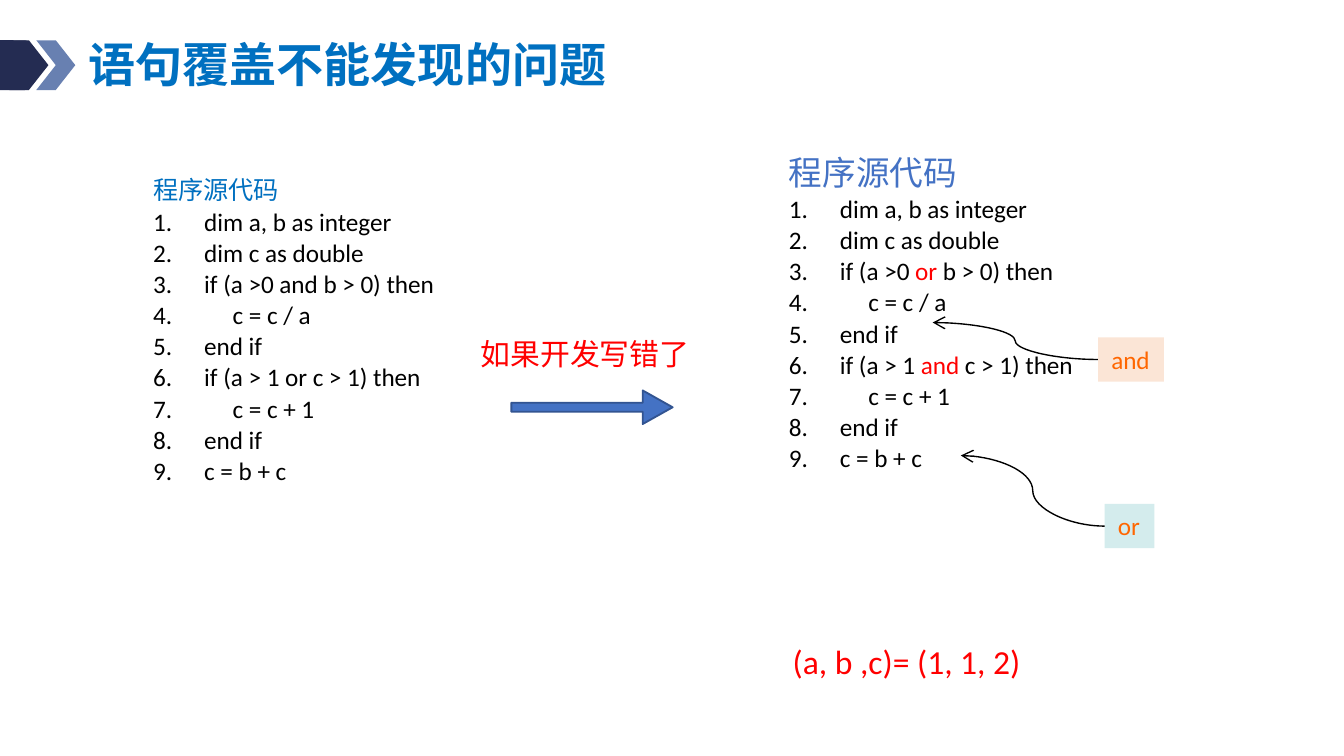
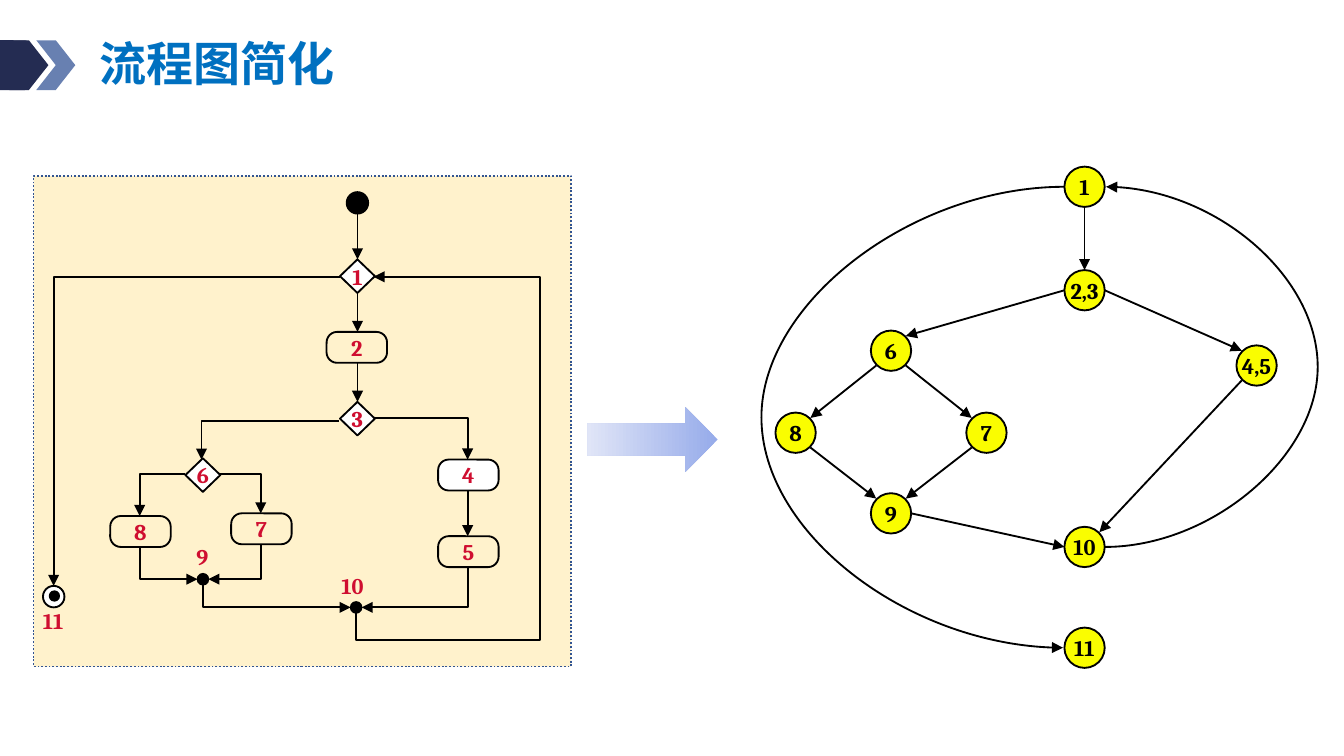
import math
from typing import NamedTuple, Optional

import pptx
import pptx.dml.color
import pptx.enum.dml
import pptx.enum.shapes
import pptx.enum.text
import pptx.oxml
import pptx.oxml.ns
import pptx.util
from pptx.util import Inches

RGBColor = pptx.dml.color.RGBColor
SHAPE = pptx.enum.shapes.MSO_SHAPE
CONNECTOR = pptx.enum.shapes.MSO_CONNECTOR
ALIGN = pptx.enum.text.PP_ALIGN
ANCHOR = pptx.enum.text.MSO_ANCHOR

NAVY = RGBColor(0x24, 0x2C, 0x52)
SLATE = RGBColor(0x68, 0x80, 0xB1)
TITLE_BLUE = RGBColor(0x00, 0x70, 0xC0)
ACCENT_BLUE = RGBColor(0x44, 0x72, 0xC4)
OUTLINE_BLUE = RGBColor(0x32, 0x54, 0x91)
BLACK = RGBColor(0x00, 0x00, 0x00)
WHITE = RGBColor(0xFF, 0xFF, 0xFF)
RED = RGBColor(0xFF, 0x00, 0x00)
CRIMSON = RGBColor(0xCF, 0x0E, 0x30)
ORANGE = RGBColor(0xFF, 0x66, 0x00)
PEACH = RGBColor(0xFB, 0xE5, 0xD6)
PALE_TEAL = RGBColor(0xD4, 0xEC, 0xED)
YELLOW = RGBColor(0xFA, 0xFD, 0x00)
CREAM = RGBColor(0xFF, 0xF2, 0xCC)
ARROW_DARK = RGBColor(0x96, 0xAB, 0xEA)
ARROW_LIGHT = RGBColor(0xE0, 0xE5, 0xF7)

CJK, LATIN, SERIF = "Noto Sans CJK SC", "Calibri", "Cambria"
WIDE, NARROW, FLUSH = (0.1, 0.05), (0.07, 0.04), (0, 0)
EAST, SOUTH_EAST, SOUTH, SOUTH_WEST, WEST = 0, 45, 90, 135, 180
NORTH_WEST, NORTH, NORTH_EAST = 225, 270, 315
RADIUS = 0.15


class Box(NamedTuple):
    left: float
    top: float
    width: float
    height: float

    def lengths(self) -> list:
        return [Inches(value) for value in self]


class Style(NamedTuple):
    size: float
    font: str
    color: RGBColor
    bold: bool = False


class Step(NamedTuple):
    label: str
    geometry: SHAPE
    left: float
    top: float
    fill: Optional[RGBColor] = None


class Link(NamedTuple):
    start: tuple
    end: tuple
    reverse: bool = False


class Edge(NamedTuple):
    source: str
    leave: int
    target: str
    enter: int
    bulge: float = 0


TITLE = Style(25.2, CJK, TITLE_BLUE, True)
CODE = Style(13.5, LATIN, BLACK)
WRONG = CODE._replace(color=RED)
CALLOUT = CODE._replace(color=ORANGE)
STEP_LABEL = Style(12, SERIF, CRIMSON, True)
NODE_LABEL = STEP_LABEL._replace(color=BLACK)

STEP_SIZES = {SHAPE.DIAMOND: (0.26, 0.25), SHAPE.ROUNDED_RECTANGLE: (0.45, 0.23)}
STEPS = [
    Step("1", SHAPE.DIAMOND, 2.53, 1.93, WHITE),
    Step("3", SHAPE.DIAMOND, 2.53, 2.99, WHITE),
    Step("6", SHAPE.DIAMOND, 1.38, 3.41, WHITE),
    Step("2", SHAPE.ROUNDED_RECTANGLE, 2.43, 2.47),
    Step("4", SHAPE.ROUNDED_RECTANGLE, 3.26, 3.42, WHITE),
    Step("5", SHAPE.ROUNDED_RECTANGLE, 3.26, 3.99),
    Step("7", SHAPE.ROUNDED_RECTANGLE, 1.72, 3.82),
    Step("8", SHAPE.ROUNDED_RECTANGLE, 0.82, 3.84),
]
DOTS = [
    (Box(2.58, 1.43, 0.16, 0.16), BLACK),
    (Box(1.47, 4.27, 0.08, 0.08), BLACK),
    (Box(2.61, 4.48, 0.08, 0.08), BLACK),
    (Box(0.32, 4.36, 0.16, 0.16), WHITE),
    (Box(0.37, 4.4, 0.07, 0.07), BLACK),
]
DOT_LABELS = {
    "9": Box(1.39, 4, 0.25, 0.3),
    "10": Box(2.47, 4.22, 0.34, 0.3),
    "11": Box(0.25, 4.48, 0.33, 0.3),
}
LINKS = [
    Link((2.66, 1.59), (2.66, 1.93)),
    Link((2.66, 2.18), (2.66, 2.47)),
    Link((2.66, 2.7), (2.66, 2.99)),
    Link((3.48, 3.65), (3.48, 3.99)),
    Link((2.53, 2.06), (0.4, 4.36)),
    Link((2.52, 3.13), (1.5, 3.42)),
    Link((2.78, 3.11), (3.48, 3.42)),
    Link((1.63, 3.53), (1.94, 3.82)),
    Link((1.38, 3.53), (1.04, 3.84)),
    Link((1.47, 4.31), (1.04, 4.07), True),
    Link((1.55, 4.31), (1.94, 4.05), True),
    Link((2.61, 4.52), (1.51, 4.35), True),
    Link((2.69, 4.52), (3.48, 4.22), True),
]
NODES = {
    "1": (8.07, 1.39),
    "2,3": (8.07, 2.16),
    "4,5": (9.35, 2.72),
    "6": (6.63, 2.61),
    "7": (7.34, 3.22),
    "8": (5.92, 3.22),
    "9": (6.63, 3.82),
    "10": (8.07, 4.07),
    "11": (8.07, 4.82),
}
EDGES = [
    Edge("1", SOUTH, "2,3", NORTH),
    Edge("2,3", EAST, "4,5", NORTH_WEST),
    Edge("2,3", WEST, "6", NORTH_EAST),
    Edge("6", SOUTH_EAST, "7", NORTH_WEST),
    Edge("6", SOUTH_WEST, "8", NORTH_EAST),
    Edge("8", SOUTH_EAST, "9", NORTH_WEST),
    Edge("7", SOUTH_WEST, "9", NORTH_EAST),
    Edge("9", EAST, "10", WEST),
    Edge("4,5", SOUTH_WEST, "10", NORTH_EAST),
    Edge("10", EAST, "1", EAST, 1.61),
    Edge("1", WEST, "11", WEST, -2.29),
]


def add_run(paragraph, text: str, style: Style) -> None:
    run = paragraph.add_run()
    run.text = text
    run.font.size = pptx.util.Pt(style.size)
    run.font.bold = style.bold
    run.font.color.rgb = style.color
    run.font.name = style.font
    east_asian = run.font._element.makeelement(pptx.oxml.ns.qn("a:ea"), {"typeface": style.font})
    run.font._element.find(pptx.oxml.ns.qn("a:latin")).addnext(east_asian)


def set_frame(frame, inset: tuple, anchor=ANCHOR.TOP, wrap: bool = False) -> None:
    frame.margin_left = frame.margin_right = Inches(inset[0])
    frame.margin_top = frame.margin_bottom = Inches(inset[1])
    frame.vertical_anchor = anchor
    frame.word_wrap = wrap
    frame.auto_size = pptx.enum.text.MSO_AUTO_SIZE.NONE


def add_label(slide, box: Box, text: str, style: Style, inset: tuple = WIDE) -> None:
    frame = slide.shapes.add_textbox(*box.lengths()).text_frame
    set_frame(frame, inset)
    add_run(frame.paragraphs[0], text, style)


def add_figure(slide, geometry, box: Box, fill=None, line=None, adjustments: tuple = ()):
    figure = slide.shapes.add_shape(geometry, *box.lengths())
    figure.shadow.inherit = False
    for index, value in enumerate(adjustments):
        figure.adjustments[index] = value
    if fill is None:
        figure.fill.background()
    else:
        figure.fill.solid()
        figure.fill.fore_color.rgb = fill
    if line is None:
        figure.line.fill.background()
    else:
        figure.line.color.rgb = line
        figure.line.width = pptx.util.Pt(1)
    return figure


def write_in(figure, text: str, style: Style, inset: tuple, anchor=ANCHOR.MIDDLE, align=ALIGN.CENTER) -> None:
    set_frame(figure.text_frame, inset, anchor)
    paragraph = figure.text_frame.paragraphs[0]
    paragraph.alignment = align
    add_run(paragraph, text, style)


def add_arrow(slide, start: tuple, end: tuple, preset: str = "line", adjustments: tuple = (),
              reverse: bool = False, head: str = "triangle", width: float = 1) -> None:
    arrow = slide.shapes.add_connector(CONNECTOR.STRAIGHT, *[Inches(value) for value in (*start, *end)])
    arrow.line.color.rgb = BLACK
    arrow.line.width = pptx.util.Pt(width)
    properties = arrow._element.spPr
    qn = pptx.oxml.ns.qn
    geometry = properties.find(qn("a:prstGeom"))
    geometry.set("prst", preset)
    guides = geometry.find(qn("a:avLst"))
    for index, value in enumerate(adjustments, 1):
        guides.append(guides.makeelement(
            qn("a:gd"), {"name": f"adj{index}", "fmla": f"val {round(value * 100000)}"}))
    outline = arrow.line._get_or_add_ln()
    tip = "a:headEnd" if reverse else "a:tailEnd"
    outline.append(outline.makeelement(qn(tip), {"type": head}))
    properties.append(properties.makeelement(qn("a:effectLst"), {}))


def add_titled_slide(deck, title: str, box: Box, inset: tuple):
    slide = deck.slides.add_slide(deck.slide_layouts[5])
    add_figure(slide, SHAPE.ROUNDED_RECTANGLE, Box(-0.13, 0.3, 0.35, 0.37), NAVY, adjustments=(0.1,))
    for left, color in ((0.27, SLATE), (0.07, NAVY)):
        add_figure(slide, SHAPE.CHEVRON, Box(left, 0.3, 0.29, 0.37), color)
    heading = slide.shapes.title
    heading.left, heading.top, heading.width, heading.height = box.lengths()
    set_frame(heading.text_frame, inset, ANCHOR.MIDDLE, True)
    paragraph = heading.text_frame.paragraphs[0]
    paragraph.alignment = ALIGN.LEFT
    paragraph.line_spacing = 0.9
    add_run(paragraph, title, TITLE)
    return slide


def add_listing(slide, box: Box, heading: Style, operators: tuple, operator_style: Style) -> None:
    first, second = operators
    listing = [
        ("1.\tdim a, b as integer",),
        ("dim c as double",),
        ("if (a >0 ", first, " b > 0) then"),
        ("     c = c / a",),
        ("end if",),
        ("if (a > 1 ", second, " c > 1) then"),
        ("     c = c + 1",),
        ("end if",),
        ("c = b + c",),
    ]
    frame = slide.shapes.add_textbox(*box.lengths()).text_frame
    set_frame(frame, NARROW, wrap=True)
    add_run(frame.paragraphs[0], "程序源代码", heading)
    for number, parts in enumerate(listing, 1):
        paragraph = frame.add_paragraph()
        properties = paragraph._p.get_or_add_pPr()
        properties.set("marL", str(Inches(0.38)))
        properties.set("indent", str(-Inches(0.38)))
        if number > 1:
            properties.append(properties.makeelement(
                pptx.oxml.ns.qn("a:buAutoNum"), {"type": "arabicPeriod", "startAt": "2"}))
        paragraph.space_before = pptx.util.Pt(0.5)
        for part in parts:
            add_run(paragraph, part, operator_style if part in operators else CODE)


def build_coverage_slide(deck) -> None:
    slide = add_titled_slide(deck, "语句覆盖不能发现的问题", Box(0.66, 0.28, 4.25, 0.44), FLUSH)
    add_listing(slide, Box(5.8, 1.09, 3.13, 2.49), Style(18, CJK, ACCENT_BLUE), ("or", "and"), WRONG)
    add_label(slide, Box(5.8, 4.72, 1.89, 0.4), "(a, b ,c)= (1, 1, 2)", Style(18, LATIN, RED))
    corrections = [
        ("and", Box(8.17, 2.51, 0.49, 0.33), PEACH, (6.94, 2.4)),
        ("or", Box(8.22, 3.75, 0.37, 0.33), PALE_TEAL, (7.15, 3.39)),
    ]
    for operator, box, fill, target in corrections:
        callout = add_figure(slide, SHAPE.RECTANGLE, box, fill)
        write_in(callout, operator, CALLOUT, WIDE, ANCHOR.TOP, ALIGN.LEFT)
        origin = (box.left, box.top + box.height / 2)
        add_arrow(slide, origin, target, "curvedConnector3", (0.5,), head="arrow", width=0.75)
    add_listing(slide, Box(1.07, 1.26, 2.57, 2.41), Style(13.5, CJK, TITLE_BLUE), ("and", "or"), CODE)
    becomes = add_figure(slide, SHAPE.DOWN_ARROW, Box(4.28, 2.43, 0.25, 1.2), ACCENT_BLUE, OUTLINE_BLUE, (0.27, 0.89))
    becomes.rotation = 270
    add_label(slide, Box(3.48, 2.45, 1.76, 0.37), "如果开发写错了", Style(16, CJK, RED))


def draw_flowchart(slide) -> None:
    panel = add_figure(slide, SHAPE.RECTANGLE, Box(0.25, 1.31, 4, 3.65), CREAM, OUTLINE_BLUE)
    panel.line.dash_style = pptx.enum.dml.MSO_LINE.ROUND_DOT
    add_arrow(slide, (2.78, 2.06), (2.65, 4.56), "bentConnector4", (-9.54, 1.08), reverse=True)
    for box, fill in DOTS:
        add_figure(slide, SHAPE.OVAL, box, fill, BLACK)
    for step in STEPS:
        diamond = step.geometry == SHAPE.DIAMOND
        box = Box(step.left, step.top, *STEP_SIZES[step.geometry])
        figure = add_figure(slide, step.geometry, box, step.fill, BLACK, () if diamond else (0.34,))
        write_in(figure, step.label, STEP_LABEL, NARROW if diamond else WIDE)
    for label, box in DOT_LABELS.items():
        add_label(slide, box, label, STEP_LABEL, NARROW)
    for link in LINKS:
        preset = "line" if link.start[0] == link.end[0] else "bentConnector2"
        add_arrow(slide, link.start, link.end, preset, reverse=link.reverse)


def rim_point(label: str, angle: int) -> tuple:
    x, y = NODES[label]
    turn = math.radians(angle)
    return round(x + RADIUS * math.cos(turn), 2), round(y + RADIUS * math.sin(turn), 2)


def draw_flow_graph(slide) -> None:
    for label, (x, y) in NODES.items():
        box = Box(x - RADIUS, y - RADIUS, 2 * RADIUS, 2 * RADIUS)
        write_in(add_figure(slide, SHAPE.OVAL, box, YELLOW, BLACK), label, NODE_LABEL, NARROW)
    for edge in EDGES:
        start, end = rim_point(edge.source, edge.leave), rim_point(edge.target, edge.enter)
        if edge.bulge:
            sliver = math.copysign(0.01, edge.bulge)
            end = (start[0] + sliver, end[1])
            add_arrow(slide, start, end, "curvedConnector3", (edge.bulge / sliver,))
        else:
            add_arrow(slide, start, end)


def build_simplification_slide(deck) -> None:
    slide = add_titled_slide(deck, "流程图简化", Box(0.67, 0.23, 2.38, 0.53), NARROW)
    draw_flow_graph(slide)
    draw_flowchart(slide)
    becomes = add_figure(slide, SHAPE.RIGHT_ARROW, Box(4.37, 3.03, 0.97, 0.48))
    becomes.fill.gradient()
    becomes.fill.gradient_angle = 180
    for stop, color in zip(becomes.fill.gradient_stops, (ARROW_DARK, ARROW_LIGHT)):
        stop.color.rgb = color


def main() -> None:
    deck = pptx.Presentation()
    deck.slide_width = Inches(10)
    deck.slide_height = deck.slide_width * 9 // 16
    build_coverage_slide(deck)
    build_simplification_slide(deck)
    deck.save("out.pptx")


if __name__ == "__main__":
    main()
